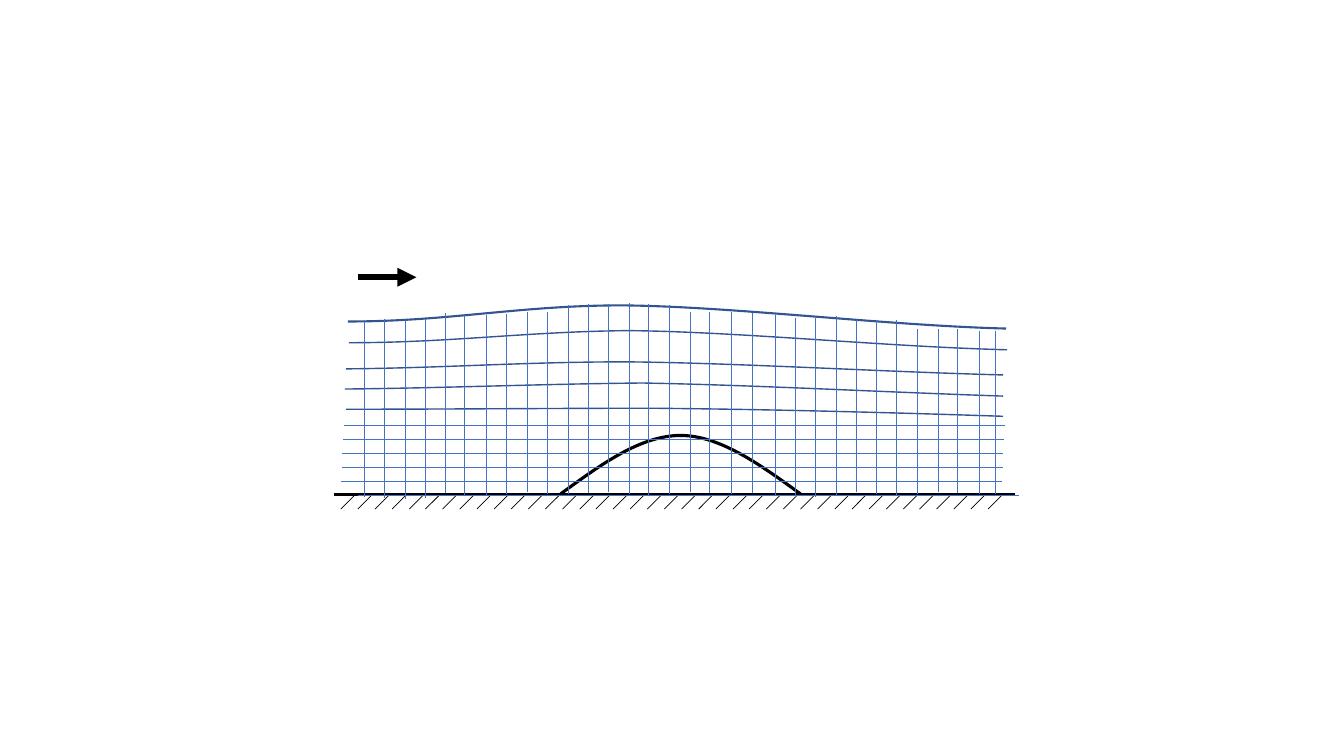
from typing import NamedTuple

from pptx import Presentation
from pptx.dml.color import RGBColor
from pptx.enum.shapes import MSO_CONNECTOR as Connector
from pptx.oxml.ns import qn
from pptx.oxml.xmlchemy import OxmlElement
from pptx.shapes.connector import Connector as Line
from pptx.shapes.shapetree import SlideShapes
from pptx.util import Pt

PX = 9144  # EMU in one px, at 100 px to the inch
SLIDE_WIDTH, SLIDE_HEIGHT = 1333, 750

BLACK = RGBColor(0x00, 0x00, 0x00)
GRID_BLUE = RGBColor(0x44, 0x72, 0xC4)
STREAM_BLUE = RGBColor(0x32, 0x54, 0x91)

GROUND_Y = 491
HATCH_COUNT, HATCH_FIRST, HATCH_LAST, HATCH_SIZE = 39, 352, 994, 14
ROW_COUNT, ROW_LENGTH, ROW_GAP, ROW_LEFT, ROW_BOTTOM = 5, 656, 14, 338, 478


class Column(NamedTuple):
    x: int
    top: int
    bottom: int


class Curve(NamedTuple):
    """A start point, then three points for each cubic segment."""
    points: list[tuple[int, int]]
    color: RGBColor
    weight: float


HILL = Curve([(556, 490), (596, 461), (635, 432), (675, 432),
              (714, 432), (754, 461), (794, 490)], BLACK, 2.25)

STREAMLINES = [
    Curve([(343, 406), (444, 406), (546, 405), (647, 405),
           (756, 406), (876, 409), (995, 413)], STREAM_BLUE, 1),
    Curve([(342, 386), (443, 385), (536, 381), (637, 380),
           (746, 382), (875, 389), (995, 393)], STREAM_BLUE, 1),
    Curve([(343, 366), (444, 365), (520, 359), (621, 359),
           (730, 360), (876, 369), (995, 372)], STREAM_BLUE, 1),
    Curve([(346, 340), (447, 340), (522, 329), (623, 328),
           (732, 329), (879, 344), (999, 347)], STREAM_BLUE, 1),
    Curve([(345, 319), (446, 319), (515, 303), (617, 303),
           (726, 304), (878, 323), (998, 326)], STREAM_BLUE, 1.5),
]

COLUMNS = [Column(*column) for column in (
    (361, 317, 493), (381, 316, 494), (402, 317, 495), (422, 316, 494),
    (442, 311, 489), (461, 313, 491), (482, 313, 491), (502, 312, 490),
    (523, 310, 488), (543, 310, 490), (564, 303, 490), (584, 302, 489),
    (603, 302, 488), (624, 301, 490), (643, 302, 491), (664, 303, 490),
    (685, 310, 488), (704, 310, 489), (725, 310, 490), (746, 311, 489),
    (769, 313, 491), (789, 315, 493), (809, 315, 493), (830, 314, 492),
    (849, 317, 488), (869, 317, 490), (889, 317, 491), (910, 326, 490),
    (931, 326, 488), (950, 326, 489), (971, 328, 490), (987, 328, 490),
)]


def draw_line(shapes: SlideShapes, start: tuple[int, int], end: tuple[int, int],
              color: RGBColor, weight: float) -> Line:
    ends = [value * PX for value in (*start, *end)]
    line = shapes.add_connector(Connector.STRAIGHT, *ends)
    line.line.color.rgb = color
    line.line.width = Pt(weight)
    line._element.spPr.append(OxmlElement("a:effectLst"))
    return line


def draw_curve(shapes: SlideShapes, curve: Curve) -> None:
    """Draw an open outline and turn its straight segments into cubic ones."""
    start, *rest = curve.points
    builder = shapes.build_freeform(*start, scale=PX)
    builder.add_line_segments(rest, close=False)
    outline = builder.convert_to_shape()
    outline.shadow.inherit = False
    outline.fill.background()
    outline.line.color.rgb = curve.color
    outline.line.width = Pt(curve.weight)

    segments = list(outline._element.iter(qn("a:lnTo")))
    for first in range(0, len(segments), 3):
        cubic = OxmlElement("a:cubicBezTo")
        segments[first].addprevious(cubic)
        for segment in segments[first:first + 3]:
            cubic.append(segment[0])
            segment.getparent().remove(segment)


def draw_ground(shapes: SlideShapes) -> None:
    draw_line(shapes, (331, GROUND_Y), (1007, GROUND_Y), BLACK, 2.25)
    step = (HATCH_LAST - HATCH_FIRST) / (HATCH_COUNT - 1)
    for index in range(HATCH_COUNT):
        x = round(HATCH_FIRST + index * step)
        draw_line(shapes, (x, GROUND_Y), (x - HATCH_SIZE, GROUND_Y + HATCH_SIZE),
                  BLACK, 0.5)


def draw_rows(shapes: SlideShapes) -> None:
    rows = [(355, GROUND_Y)]
    rows += [(ROW_LEFT + round(index * 0.7), ROW_BOTTOM - index * ROW_GAP)
             for index in range(ROW_COUNT)]
    for x, y in rows:
        draw_line(shapes, (x, y), (x + ROW_LENGTH, y), GRID_BLUE, 0.5)


def draw_flow_arrow(shapes: SlideShapes) -> None:
    arrow = draw_line(shapes, (355, 275), (413, 275), BLACK, 4.5)
    head = OxmlElement("a:tailEnd")
    head.set("type", "triangle")
    arrow.line._get_or_add_ln().append(head)


def main() -> None:
    deck = Presentation()
    deck.slide_width = SLIDE_WIDTH * PX
    deck.slide_height = SLIDE_HEIGHT * PX
    shapes = deck.slides.add_slide(deck.slide_layouts[6]).shapes

    draw_ground(shapes)
    draw_curve(shapes, HILL)
    draw_rows(shapes)
    for streamline in STREAMLINES:
        draw_curve(shapes, streamline)
    for column in COLUMNS:
        draw_line(shapes, (column.x, column.top), (column.x, column.bottom),
                  GRID_BLUE, 0.5)
    draw_flow_arrow(shapes)

    deck.save("out.pptx")


if __name__ == "__main__":
    main()
